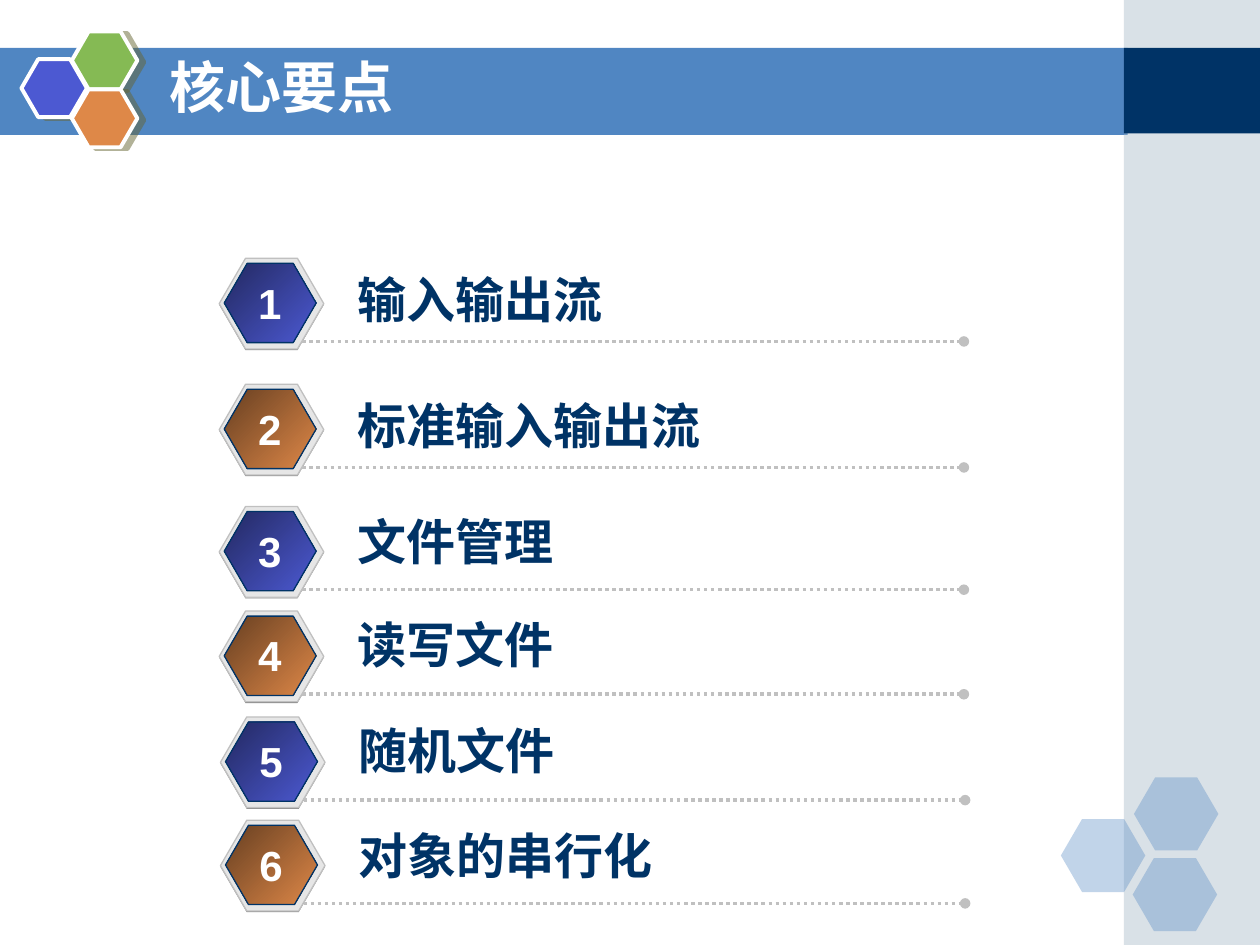
from dataclasses import dataclass
from typing import Optional

from lxml.etree import SubElement as Sub
from pptx import Presentation
from pptx.dml.color import RGBColor as Color
from pptx.enum.dml import MSO_LINE as Dash
from pptx.enum.shapes import MSO_CONNECTOR as Link, MSO_SHAPE as Kind
from pptx.enum.text import MSO_ANCHOR as Anchor, PP_ALIGN as Align
from pptx.oxml.ns import qn
from pptx.util import Inches, Pt


@dataclass(frozen=True)
class Theme:
    white: str = "FFFFFF"
    navy: str = "003366"
    blue: str = "5086C2"
    side: str = "A0B5C4"
    violet: str = "4C59D2"
    green: str = "85BA54"
    orange: str = "DE8848"
    dusk: str = "232961"
    brown: str = "673F21"
    shade: str = "666633"
    under: str = "808080"
    rim: str = "E6E6E6"
    gray: str = "C0C0C0"
    latin: str = "Arial"
    asian: str = "Noto Sans CJK SC"
    title: int = 32
    label: int = 28
    digit: int = 24


@dataclass(frozen=True)
class Box:
    left: float
    top: float
    width: float
    height: float

    def lengths(self) -> list:
        return [Inches(v) for v in (self.left, self.top, self.width, self.height)]


@dataclass(frozen=True)
class Edge:
    color: str
    width: float


@dataclass(frozen=True)
class Item:
    text: str
    left: float
    top: float
    shift: float


T = Theme()


def rgb(code: str) -> Color:
    return Color.from_string(code)


def paint(shapes, kind, box: Box, color: str, alpha: Optional[int] = None,
          edge: Optional[Edge] = None):
    shape = shapes.add_shape(kind, *box.lengths())
    shape.shadow.inherit = False
    shape.fill.solid()
    shape.fill.fore_color.rgb = rgb(color)
    if alpha is not None:
        tone = next(shape.fill._xPr.iter(qn("a:srgbClr")))
        Sub(tone, qn("a:alpha"), val=str(alpha * 1000))
    if edge:
        shape.line.color.rgb = rgb(edge.color)
        shape.line.width = Pt(edge.width)
    else:
        shape.line.fill.background()
    if kind == Kind.HEXAGON:
        shape.adjustments[0] = 0.29
    return shape


def cast(shape) -> None:
    effects = shape._element.spPr.find(qn("a:effectLst"))
    outer = Sub(effects, qn("a:outerShdw"), dist=str(Pt(4.1)),
                dir=str(14 * 60000), algn="ctr", rotWithShape="0")
    tone = Sub(outer, qn("a:srgbClr"), val=T.shade)
    Sub(tone, qn("a:alpha"), val="50000")


def write(shapes, box: Box, text: str, size: int, color: str, font: str,
          align=Align.LEFT, anchor=Anchor.TOP, wrap: bool = True) -> None:
    frame = shapes.add_textbox(*box.lengths()).text_frame
    frame.word_wrap = wrap
    frame.vertical_anchor = anchor
    para = frame.paragraphs[0]
    para.alignment = align
    run = para.add_run()
    run.text = text
    run.font.size = Pt(size)
    run.font.bold = True
    run.font.name = font
    run.font.color.rgb = rgb(color)
    Sub(run.font._element, qn("a:ea"), typeface=T.asian)


def rule(shapes, left: float, top: float, width: float) -> None:
    line = shapes.add_connector(Link.STRAIGHT, Inches(left), Inches(top),
                                Inches(left + width), Inches(top))
    line.line.color.rgb = rgb(T.gray)
    line.line.width = Pt(2)
    line.line.dash_style = Dash.ROUND_DOT
    Sub(line.line._ln, qn("a:tailEnd"), type="oval")
    Sub(line._element.spPr, qn("a:effectLst"))


def badge(shapes, left: float, top: float, dark: str, light: str) -> None:
    group = shapes.add_group_shape().shapes
    paint(group, Kind.HEXAGON, Box(left, top + 0.01, 0.83, 0.72), T.under)
    paint(group, Kind.HEXAGON, Box(left, top, 0.83, 0.72), T.rim,
          edge=Edge(T.gray, 0.75))
    core = paint(group, Kind.HEXAGON, Box(left + 0.04, top + 0.04, 0.73, 0.63),
                 light, edge=Edge(T.navy, 0.75))
    core.fill.gradient()
    core.fill.gradient_angle = 315
    for stop, tone in zip(core.fill.gradient_stops, (dark, light)):
        stop.color.rgb = rgb(tone)


def row(shapes, rank: int, item: Item) -> None:
    left, top = item.left, item.top
    tones = (T.dusk, T.violet) if rank % 2 else (T.brown, T.orange)
    badge(shapes, left, top, *tones)
    rule(shapes, left + 0.66, top + 0.66, 5.25)
    write(shapes, Box(left + 1, top + item.shift, 4.67, 0.57), item.text,
          T.label, T.navy, T.latin)
    write(shapes, Box(left + 0.21, top + 0.1, 0.38, 0.5), str(rank),
          T.digit, T.white, T.latin, align=Align.CENTER, wrap=False)


def frame(shapes) -> None:
    paint(shapes, Kind.RECTANGLE, Box(0, 0.38, 8.95, 0.69), T.blue)
    paint(shapes, Kind.RECTANGLE, Box(8.92, 0, 1.08, 7.5), T.side, alpha=40)
    paint(shapes, Kind.RECTANGLE, Box(8.92, 0.38, 1.08, 0.68), T.navy)
    for left, top in ((8.42, 6.5), (9, 6.17), (8.99, 6.81)):
        paint(shapes, Kind.HEXAGON, Box(left, top, 0.67, 0.58), T.blue, alpha=35)
    group = shapes.add_group_shape().shapes
    cells = ((0.17, 0.47, T.violet), (0.57, 0.25, T.green), (0.57, 0.71, T.orange))
    for left, top, color in cells:
        cast(paint(group, Kind.HEXAGON, Box(left, top, 0.52, 0.46), color,
                   edge=Edge(T.white, 2.25)))


def main() -> None:
    deck = Presentation()
    deck.slide_width, deck.slide_height = Inches(10), Inches(7.5)
    shapes = deck.slides.add_slide(deck.slide_layouts[6]).shapes
    frame(shapes)
    write(shapes, Box(1.25, 0.33, 7.33, 0.7), "核心要点", T.title, T.white,
          T.asian, anchor=Anchor.MIDDLE)
    items = (
        Item("输入输出流", 1.74, 2.05, 0.04),
        Item("标准输入输出流", 1.74, 3.05, 0.04),
        Item("文件管理", 1.74, 4.02, -0.01),
        Item("读写文件", 1.74, 4.85, -0.02),
        Item("随机文件", 1.75, 5.69, -0.02),
        Item("对象的串行化", 1.75, 6.51, -0.01),
    )
    for rank, item in enumerate(items, 1):
        row(shapes, rank, item)
    deck.save("out.pptx")


if __name__ == "__main__":
    main()
